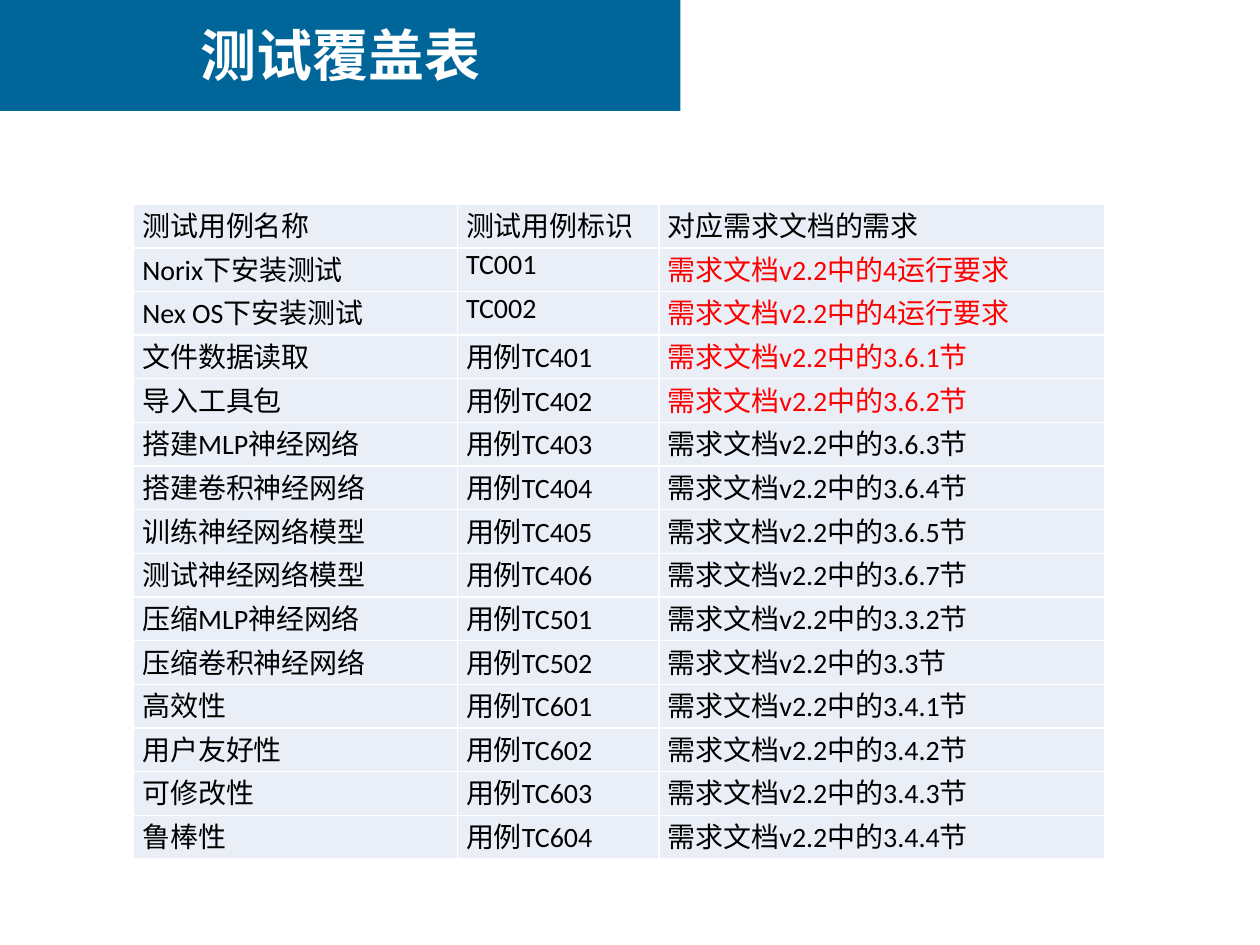
from lxml.etree import SubElement
from pptx import Presentation
from pptx.dml.color import RGBColor
from pptx.enum.shapes import MSO_SHAPE as Shape
from pptx.enum.text import MSO_ANCHOR as Anchor, PP_ALIGN as Align
from pptx.oxml.ns import qn
from pptx.util import Inches, Pt


class Theme:
    band = RGBColor(0x00, 0x66, 0x99)
    white = RGBColor(0xFF, 0xFF, 0xFF)
    cell = RGBColor(0xEA, 0xEF, 0xF7)
    text = RGBColor(0x00, 0x00, 0x00)
    highlight = RGBColor(0xFF, 0x00, 0x00)
    latin = "Calibri"
    chinese = "Noto Sans CJK SC"
    title_size = Pt(32)
    table_size = Pt(16)
    border = Pt(1)


def style_run(run, latin, size, color, bold=False):
    font = run.font
    font.name, font.size, font.bold = latin, size, bold
    font.color.rgb = color
    SubElement(font._element, qn("a:ea")).set("typeface", Theme.chinese)


def add_borders(cell):
    properties = cell._tc.get_or_add_tcPr()
    for side in ("L", "R", "T", "B"):
        line = SubElement(properties, qn(f"a:ln{side}"), w=str(Theme.border))
        fill = SubElement(line, qn("a:solidFill"))
        SubElement(fill, qn("a:srgbClr"), val=str(Theme.white))


HEADER = ("测试用例名称", "测试用例标识", "对应需求文档的需求")
# Test case, identifier, requirement section
CASES = [
    ("Norix下安装测试", "TC001", "4运行要求"),
    ("Nex OS下安装测试", "TC002", "4运行要求"),
    ("文件数据读取", "用例TC401", "3.6.1节"),
    ("导入工具包", "用例TC402", "3.6.2节"),
    ("搭建MLP神经网络", "用例TC403", "3.6.3节"),
    ("搭建卷积神经网络", "用例TC404", "3.6.4节"),
    ("训练神经网络模型", "用例TC405", "3.6.5节"),
    ("测试神经网络模型", "用例TC406", "3.6.7节"),
    ("压缩MLP神经网络", "用例TC501", "3.3.2节"),
    ("压缩卷积神经网络", "用例TC502", "3.3节"),
    ("高效性", "用例TC601", "3.4.1节"),
    ("用户友好性", "用例TC602", "3.4.2节"),
    ("可修改性", "用例TC603", "3.4.3节"),
    ("鲁棒性", "用例TC604", "3.4.4节"),
]
HIGHLIGHTED_ROWS = range(1, 5)
COLUMN_WIDTHS = (2.57, 1.6, 3.54)
TABLE_HEIGHT = 5.2

prs = Presentation()
prs.slide_width, prs.slide_height = Inches(10), Inches(7.5)
slide = prs.slides.add_slide(prs.slide_layouts[5])

# Title on its band
band = slide.shapes.add_shape(
    Shape.RECTANGLE, Inches(0), Inches(-0.01), Inches(5.4), Inches(0.89))
band.shadow.inherit = False
band.fill.solid()
band.fill.fore_color.rgb = Theme.band
band.line.fill.background()

title = slide.shapes.title
band._element.addnext(title._element)  # bring the title in front of the band
title.left, title.top = Inches(0), Inches(0.11)
title.width, title.height = Inches(5.4), Inches(0.64)
title.text_frame.text = "测试覆盖表"
title.text_frame.vertical_anchor = Anchor.MIDDLE
title_line = title.text_frame.paragraphs[0]
title_line.alignment = Align.CENTER
style_run(title_line.runs[0], Theme.chinese, Theme.title_size, Theme.white, bold=True)

# Coverage table
rows = [HEADER] + [(name, case_id, f"需求文档v2.2中的{section}")
                   for name, case_id, section in CASES]
coverage = slide.shapes.add_table(
    len(rows), len(HEADER), Inches(1.06), Inches(1.62),
    Inches(sum(COLUMN_WIDTHS)), Inches(TABLE_HEIGHT)).table
coverage.first_row = coverage.horz_banding = False
for column, width in zip(coverage.columns, COLUMN_WIDTHS):
    column.width = Inches(width)

for r, row in enumerate(rows):
    coverage.rows[r].height = Inches(TABLE_HEIGHT / len(rows))
    for c, content in enumerate(row):
        cell = coverage.cell(r, c)
        add_borders(cell)
        cell.fill.solid()
        cell.fill.fore_color.rgb = Theme.cell
        cell.margin_left = cell.margin_right = Inches(0.07)
        cell.margin_top = cell.margin_bottom = Inches(0)
        cell.text_frame.text = content
        paragraph = cell.text_frame.paragraphs[0]
        paragraph.alignment = Align.JUSTIFY
        highlighted = c == 2 and r in HIGHLIGHTED_ROWS
        style_run(paragraph.runs[0], Theme.latin, Theme.table_size,
                  Theme.highlight if highlighted else Theme.text)

prs.save("out.pptx")
